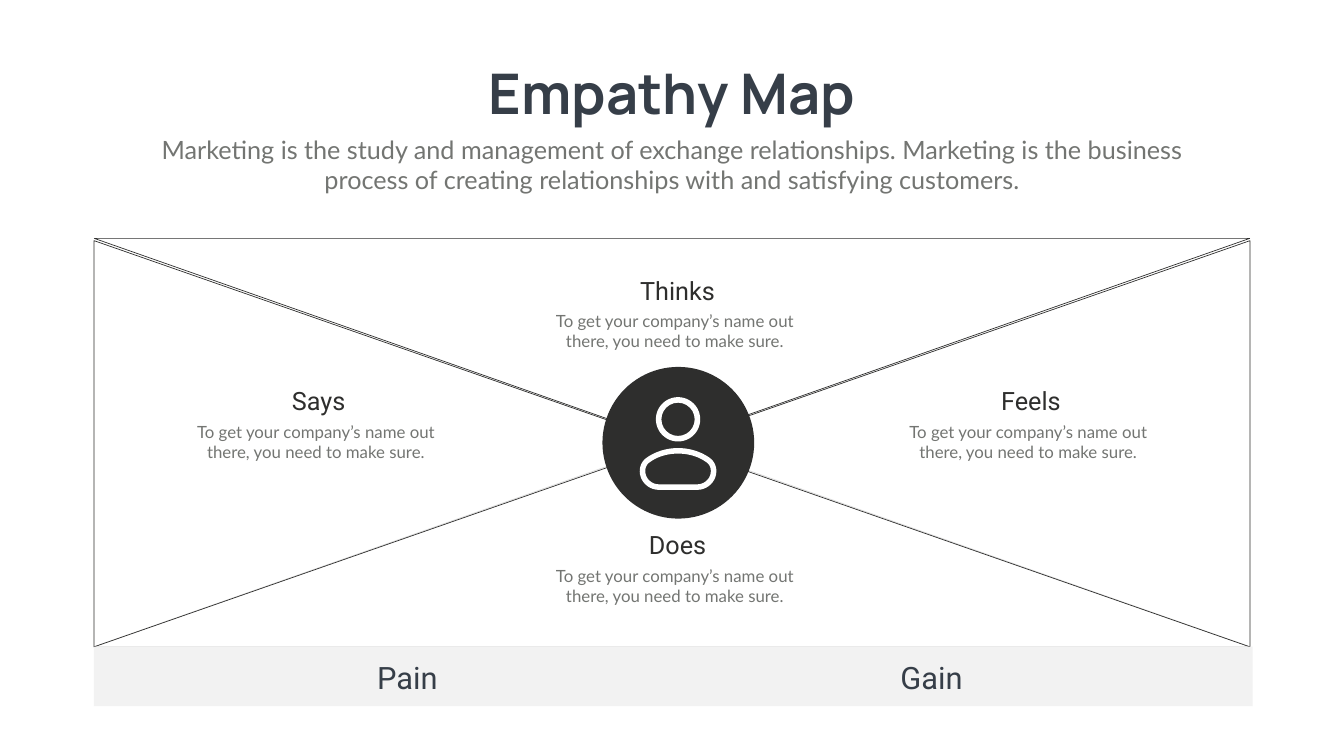
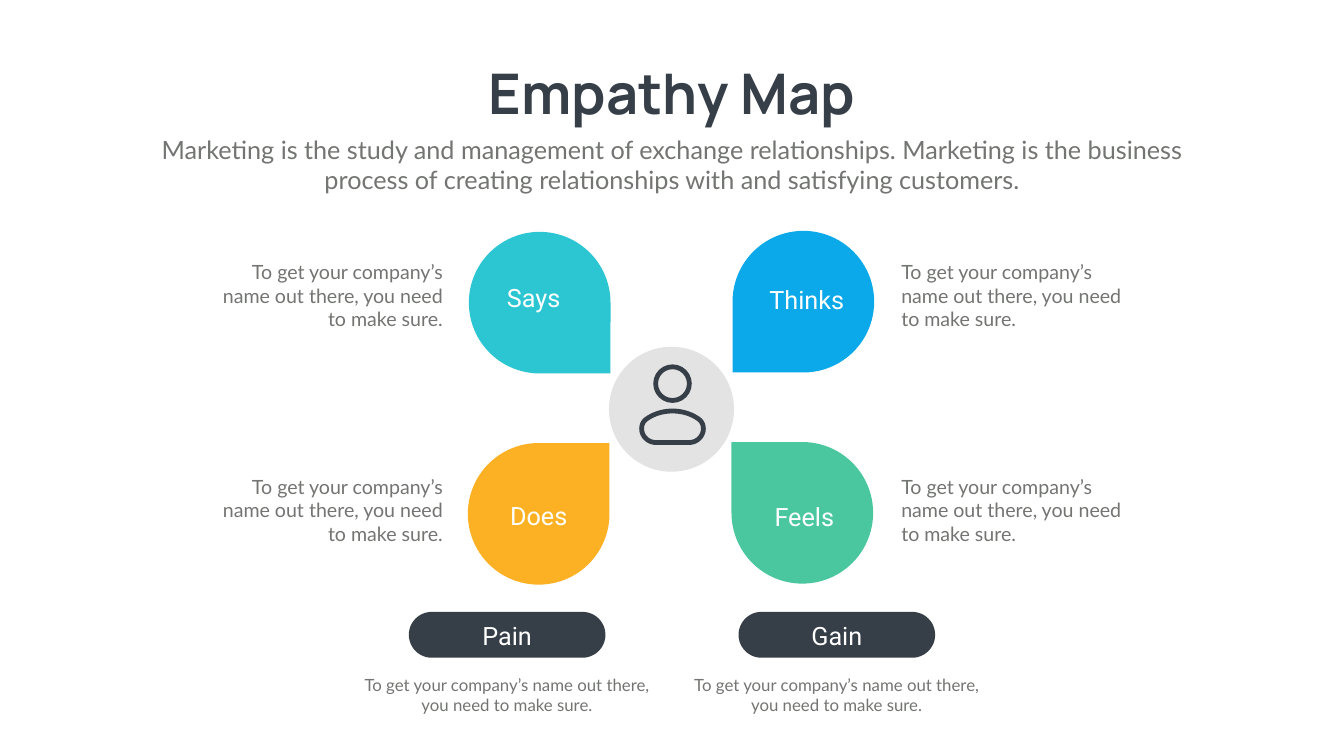
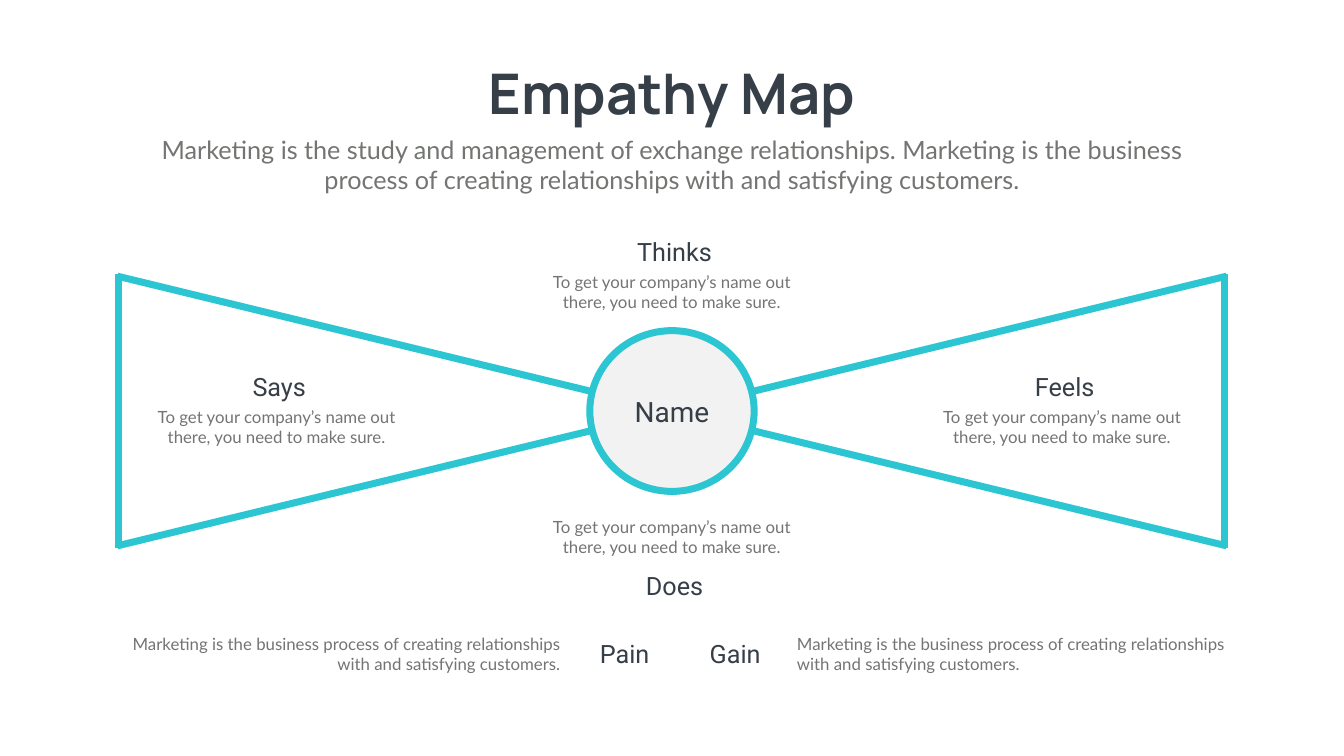
from dataclasses import dataclass

from lxml import etree
from pptx import Presentation
from pptx.dml.color import RGBColor
from pptx.enum.shapes import MSO_CONNECTOR, MSO_SHAPE
from pptx.enum.text import MSO_ANCHOR, MSO_AUTO_SIZE, PP_ALIGN
from pptx.oxml.ns import qn
from pptx.util import Pt

LEFT, CENTER, RIGHT = PP_ALIGN.LEFT, PP_ALIGN.CENTER, PP_ALIGN.RIGHT
TOP = MSO_ANCHOR.TOP
GROW = MSO_AUTO_SIZE.SHAPE_TO_FIT_TEXT
STRAIGHT = MSO_CONNECTOR.STRAIGHT
TRIANGLE, OVAL, RECT = MSO_SHAPE.ISOSCELES_TRIANGLE, MSO_SHAPE.OVAL, MSO_SHAPE.RECTANGLE
TEARDROP, PILL, DONUT = MSO_SHAPE.TEAR, MSO_SHAPE.ROUNDED_RECTANGLE, MSO_SHAPE.DONUT

PX = 9144  # EMU per px, 100 px to the inch
SLIDE_W, SLIDE_H = 2666, 1500


@dataclass(frozen=True)
class Theme:
    heading: str = "Manrope"
    label: str = "Roboto"
    body: str = "Lato"
    navy: str = "363E48"
    black: str = "2E2E2D"
    gray: str = "737572"
    silver: str = "D9D9D9"
    mist: str = "E3E3E3"
    pale: str = "F2F2F2"
    white: str = "FFFFFF"
    teal: str = "2CC5D2"
    blue: str = "0BA9E9"
    amber: str = "FBB123"
    green: str = "4BC79F"
    title_pt: int = 80
    band_pt: int = 44
    name_pt: int = 40
    label_pt: int = 36
    side_pt: int = 28
    note_pt: int = 24
    thin: int = 1
    thick: int = 10


T = Theme()

TITLE = "Empathy Map"
SUBTITLE = ("Marketing is the study and management of exchange relationships. Marketing is "
            "the business process of creating relationships with and satisfying customers.")
NOTE = "To get your company’s name out there, you need to make sure."
OUTCOME = ("Marketing is the business process of creating relationships "
           "with and satisfying customers.")

# Triangles: box, rotation, line colour
ENVELOPE = [
    ((187, 880, 2292, 403), 0, T.silver),
    ((187, 473, 2292, 403), 180, T.black),
    ((1500, 304, 806, 1153), 270, T.black),
    ((360, 304, 806, 1153), 90, T.black),
]
# Topics: name, note left, label top, note top
ENVELOPE_TOPICS = [
    ("Says", 356, 760, 831),
    ("Thinks", 1068, 541, 612),
    ("Feels", 1769, 760, 831),
    ("Does", 1068, 1046, 1117),
]
BOW_TOPICS = [
    ("Thinks", 1062, 463, 534),
    ("Says", 278, 731, 802),
    ("Feels", 1836, 731, 802),
    ("Does", 1062, 1127, 1020),
]
BANDS = [("Pain", 633), ("Gain", 1673)]
# Petals: name, petal left and top, rotation, colour, label left and top
PETALS = [
    ("Says", 930, 460, 90, T.teal, 926, 556),
    ("Thinks", 1453, 458, 180, T.blue, 1468, 560),
    ("Does", 928, 879, 0, T.amber, 936, 988),
    ("Feels", 1451, 877, 270, T.green, 1463, 990),
]
SIDE_COLUMNS = [(390, RIGHT), (1778, LEFT)]
SIDE_ROWS = [511, 937]
PILLS = [("Pain", 811), ("Gain", 1465)]
# Outcomes: name, label left, note left, alignment
OUTCOMES = [("Pain", 972, 233, RIGHT), ("Gain", 1398, 1571, LEFT)]

# Left half of the person's shoulders, bottom to top: start point, cubic curves
ICON_W = 152
SHOULDERS_OUTER = ((38, 83), [((17, 83), (0, 66), (0, 46)),
                              ((0, 35), (5, 25), (14, 19)),
                              ((31, 7), (53, 0), (76, 0))])
SHOULDERS_INNER = ((38, 72), [((23, 72), (11, 60), (11, 46)),
                              ((11, 38), (14, 32), (20, 28)),
                              ((35, 17), (55, 11), (76, 11))])


def rgb(color):
    return RGBColor.from_string(color)


def emu(*lengths):
    return [round(n * PX) for n in lengths]


def style(tf, font, size, color, align=CENTER, bold=False, wrap=True):
    tf.word_wrap = wrap
    tf.auto_size = GROW
    tf.vertical_anchor = TOP
    p = tf.paragraphs[0]
    p.alignment = align
    p.space_before = Pt(0)
    f = p.runs[0].font
    f.name, f.size, f.bold = font, Pt(size), bold
    f.color.rgb = rgb(color)


def add_text(s, text, box, font, size, color, align=CENTER):
    tf = s.shapes.add_textbox(*emu(*box)).text_frame
    tf.text = text
    style(tf, font, size, color, align)


def add_note(s, text, box, align=CENTER, size=T.note_pt):
    add_text(s, text, box, T.body, size, T.gray, align)


def paint(sp, fill=None, line=None, width=T.thin):
    sp.shadow.inherit = False
    if fill:
        sp.fill.solid()
        sp.fill.fore_color.rgb = rgb(fill)
    else:
        sp.fill.background()
    if line:
        sp.line.color.rgb = rgb(line)
        sp.line.width = Pt(width)
    else:
        sp.line.fill.background()


def add_shape(s, kind, box, fill=None, line=None, width=T.thin, rotation=0, adj=None):
    sp = s.shapes.add_shape(kind, *emu(*box))
    sp.rotation = rotation
    if adj is not None:
        sp.adjustments[0] = adj
    paint(sp, fill, line, width)


def add_line(s, start, end, color, width):
    c = s.shapes.add_connector(STRAIGHT, *emu(*start, *end))
    c.line.color.rgb = rgb(color)
    c.line.width = Pt(width)
    etree.SubElement(c._element.spPr, qn("a:effectLst"))


def contour(start, curves, steps=10):
    """Sample the half outline and close it with its mirror image."""
    half = [start]
    for c1, c2, end in curves:
        p0 = half[-1]
        for i in range(1, steps + 1):
            t = i / steps
            u = 1 - t
            half.append(tuple(u**3 * a + 3 * u * u * t * b + 3 * u * t * t * c + t**3 * d
                              for a, b, c, d in zip(p0, c1, c2, end)))
    return half + [(ICON_W - x, y) for x, y in reversed(half[:-1])]


def add_person(s, left, top, width, color):
    k = width / ICON_W
    add_shape(s, DONUT, (left + 32 * k, top, 88 * k, 88 * k), color, adj=0.125)
    outer, inner = ([emu(left + x * k, top + (101 + y) * k) for x, y in contour(*part)]
                    for part in (SHOULDERS_OUTER, SHOULDERS_INNER))
    inner.reverse()
    builder = s.shapes.build_freeform(*outer[0])
    builder.add_line_segments(outer[1:], close=True)
    builder.move_to(*inner[0])
    builder.add_line_segments(inner[1:], close=True)
    paint(builder.convert_to_shape(), color)


def add_topics(s, topics, color):
    for name, left, label_top, note_top in topics:
        add_note(s, NOTE, (left, note_top, 541, 91))
        add_text(s, name, (left + 113, label_top, 326, 71), T.label, T.label_pt, color)


def new_slide(prs):
    s = prs.slides.add_slide(prs.slide_layouts[0])
    title, subtitle = s.placeholders
    for sp, text, box in ((title, TITLE, (921, 112, 824, 145)),
                          (subtitle, SUBTITLE, (292, 261, 2082, 131))):
        sp.left, sp.top, sp.width, sp.height = emu(*box)
        sp.text_frame.text = text
    style(title.text_frame, T.heading, T.title_pt, T.navy, bold=True, wrap=False)
    style(subtitle.text_frame, T.body, T.label_pt, T.gray)
    return s


def envelope_slide(prs):
    s = new_slide(prs)
    for box, rotation, color in ENVELOPE:
        add_shape(s, TRIANGLE, box, line=color, rotation=rotation)
    add_topics(s, ENVELOPE_TOPICS, T.black)
    add_shape(s, OVAL, (1195, 728, 301, 301), T.black)
    add_shape(s, RECT, (186, 1283, 2299, 118), T.pale)
    for name, left in BANDS:
        add_text(s, name, (left, 1303, 350, 84), T.label, T.band_pt, T.navy)
    add_person(s, 1269, 788, 152, T.white)


def petal_slide(prs):
    s = new_slide(prs)
    for name, left, top, rotation, color, label_left, label_top in PETALS:
        add_shape(s, TEARDROP, (left, top, 281, 281), color, rotation=rotation)
        add_text(s, name, (label_left, label_top, 265, 71), T.label, T.label_pt, T.white)
    add_shape(s, OVAL, (1208, 688, 248, 248), T.mist)
    for top in SIDE_ROWS:
        for left, align in SIDE_COLUMNS:
            add_note(s, NOTE, (left, top, 498, 151), align, T.side_pt)
    for name, left in PILLS:
        add_shape(s, PILL, (left, 1214, 390, 91), T.navy, adj=0.5)
        add_text(s, name, (left + 20, 1225, 350, 71), T.label, T.label_pt, T.white)
        add_note(s, NOTE, (left - 107, 1333, 603, 91))
    add_person(s, 1268, 723, 132, T.navy)


def bow_slide(prs):
    s = new_slide(prs)
    left, right, top, bottom = 233, 2433, 548, 1083
    add_line(s, (left, bottom), (right, top), T.teal, T.thick)
    add_line(s, (right, bottom), (left, top), T.teal, T.thick)
    add_topics(s, BOW_TOPICS, T.navy)
    add_shape(s, OVAL, (1170, 656, 326, 319), T.pale, T.teal, T.thick)
    add_text(s, "Name", (1158, 777, 350, 77), T.label, T.name_pt, T.navy)
    for x in (left + 3, right - 4):
        add_line(s, (x, top - 4), (x, bottom + 4), T.teal, T.thick)
    for name, label_left, note_left, align in OUTCOMES:
        add_text(s, name, (label_left, 1262, 326, 71), T.label, T.label_pt, T.navy, align)
        add_note(s, OUTCOME, (note_left, 1252, 888, 91), align)


def main():
    prs = Presentation()
    prs.slide_width, prs.slide_height = emu(SLIDE_W, SLIDE_H)
    envelope_slide(prs)
    petal_slide(prs)
    bow_slide(prs)
    prs.save("out.pptx")


if __name__ == "__main__":
    main()
